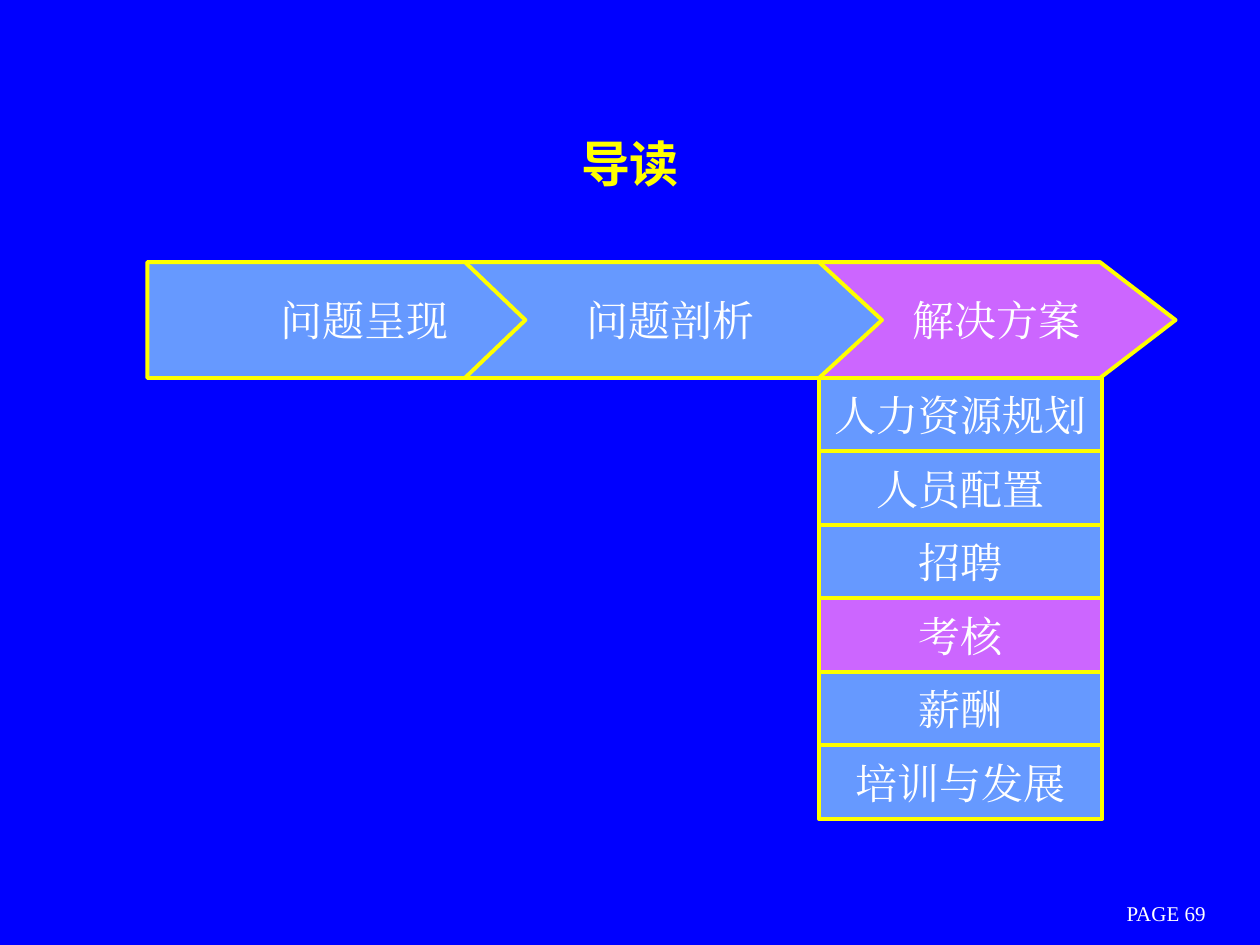
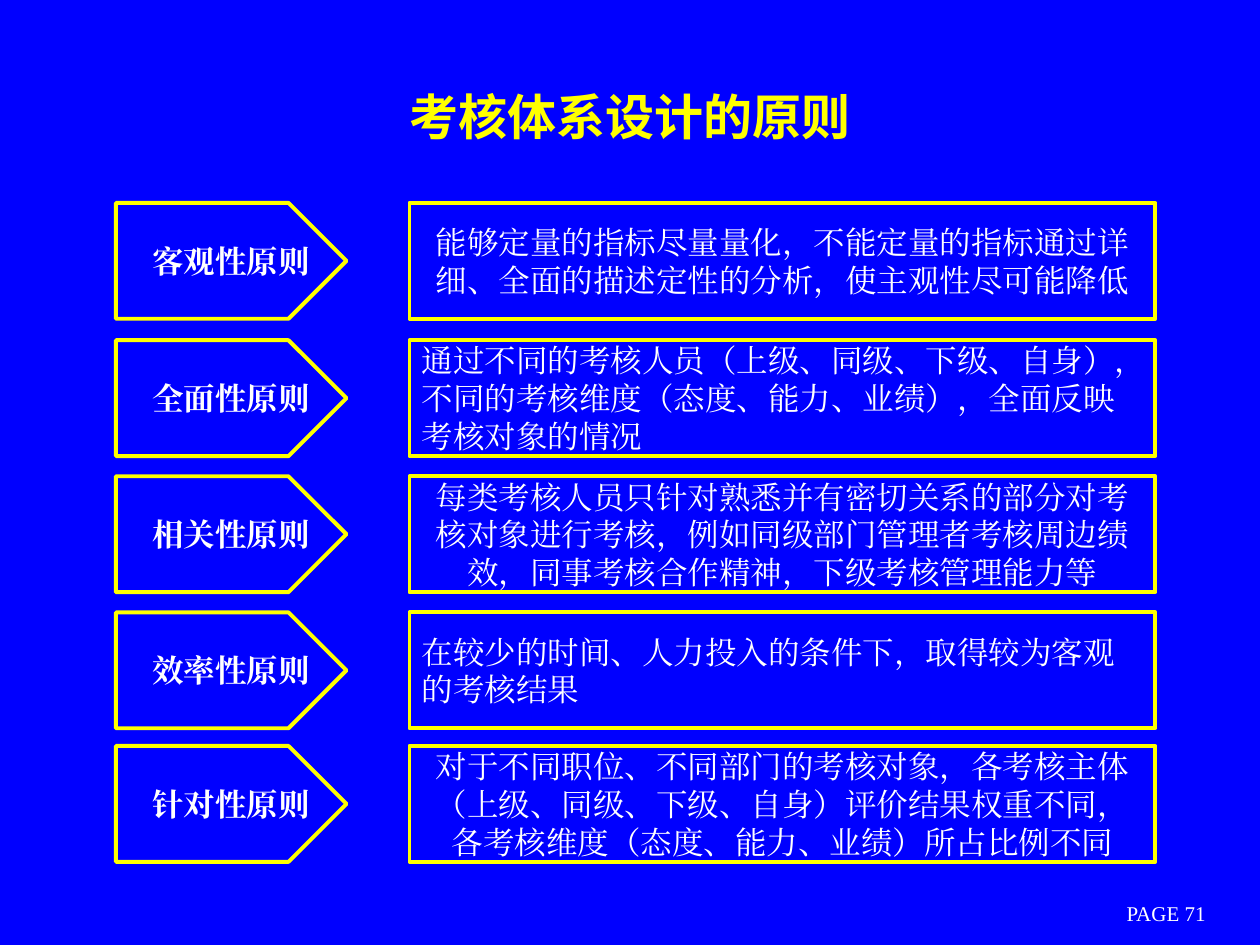
from lxml import etree
from pptx import Presentation
from pptx.dml.color import RGBColor
from pptx.enum.shapes import MSO_SHAPE
from pptx.enum.text import MSO_ANCHOR, PP_ALIGN
from pptx.oxml.ns import qn
from pptx.util import Inches, Pt

CENTER, LEFT = PP_ALIGN.CENTER, PP_ALIGN.LEFT
MIDDLE = MSO_ANCHOR.MIDDLE
RECTANGLE = MSO_SHAPE.RECTANGLE

COLORS = {
    "background": "0000FF",
    "accent": "FFFF00",
    "text": "FFFFFF",
    "step": "6699FF",
    "current": "CC66FF",
}
LATIN_FONT, HEADING_FONT = "Times New Roman", "Noto Sans CJK SC"
TITLE_ONLY = 5


def rgb(name):
    return RGBColor.from_string(COLORS[name])


def write(shape, text, size, color="text", bold=False, align=CENTER,
          font=LATIN_FONT, wrap=True, indent=0):
    """Put one formatted paragraph in a shape; indent widens the left inset."""
    frame = shape.text_frame
    frame_format = {
        "word_wrap": wrap, "vertical_anchor": MIDDLE,
        "margin_left": Inches(0.1 + indent), "margin_right": Inches(0.1),
        "margin_top": Inches(0.05), "margin_bottom": Inches(0.05),
    }
    for key, value in frame_format.items():
        setattr(frame, key, value)
    paragraph = frame.paragraphs[0]
    paragraph.alignment = align
    run = paragraph.add_run()
    run.text = text
    for key, value in {"size": Pt(size), "bold": bold, "name": font}.items():
        setattr(run.font, key, value)
    run.font.color.rgb = rgb(color)
    east_asian = etree.SubElement(run.font._element, qn("a:ea"))
    east_asian.set("typeface", font)


def outline(shape, fill=None):
    """Yellow border, with a solid fill or none."""
    shape.shadow.inherit = False
    if fill:
        shape.fill.solid()
        shape.fill.fore_color.rgb = rgb(fill)
    else:
        shape.fill.background()
    shape.line.color.rgb = rgb("accent")
    shape.line.width = Pt(2.25)


def add_arrow(slide, box, tip, fill=None):
    """Block arrow pointing right; tip is the length of its point."""
    left, top, width, height = box
    right, bottom = left + width, top + height
    points = [(right - tip, top), (right, top + height / 2),
              (right - tip, bottom), (left, bottom)]
    builder = slide.shapes.build_freeform(Inches(left), Inches(top))
    builder.add_line_segments([(Inches(x), Inches(y)) for x, y in points])
    arrow = builder.convert_to_shape()
    outline(arrow, fill)
    return arrow


def add_box(slide, box, fill=None):
    rectangle = slide.shapes.add_shape(RECTANGLE, *map(Inches, box))
    outline(rectangle, fill)
    return rectangle


def add_page(prs, title, title_box, page_number):
    """New slide with its heading and page label."""
    slide = prs.slides.add_slide(prs.slide_layouts[TITLE_ONLY])
    heading = slide.shapes.title
    edges = zip(("left", "top", "width", "height"), title_box)
    for edge, length in edges:
        setattr(heading, edge, Inches(length))
    write(heading, title, 28, "accent", bold=True, font=HEADING_FONT)

    page_label = slide.shapes.add_textbox(
        Inches(8.42), Inches(7.12), Inches(1.67), Inches(0.25))
    write(page_label, f"PAGE {page_number}", 12, wrap=False)
    return slide


def add_stages(slide, top, height):
    """Overlapping stages, the last one at the back."""
    # name, left, width, tip, indent, fill
    stages = [
        ("解决方案", 5.75, 3.58, 0.6, 0.74, "current"),
        ("问题剖析", 3.42, 3.58, 0.5, 0.22, "step"),
        ("问题呈现", 1.17, 3, 0.48, 0.44, "step"),
    ]
    for name, left, width, tip, indent, fill in stages:
        arrow = add_arrow(slide, (left, top, width, height), tip, fill)
        write(arrow, name, 24, indent=indent)


def add_modules(slide, box, modules, current):
    """Stack of equal cells that fills the box."""
    left, top, width, height = box
    cell_height = height / len(modules)
    for i, module in enumerate(modules):
        fill = "current" if module == current else "step"
        cell = add_box(
            slide, (left, top + i * cell_height, width, cell_height), fill)
        write(cell, module, 24, wrap=False)


def add_principle(slide, top, name, description, align):
    """Arrow with the principle's name and a box that explains it."""
    height = 0.92
    arrow = add_arrow(slide, (0.92, top, 1.83, height), 0.46)
    write(arrow, name, 18, bold=True)
    explanation = add_box(slide, (3.25, top, 5.92, height))
    write(explanation, description, 18, align=align)


def build_guide(prs):
    slide = add_page(prs, "导读", (0.75, 0.67, 8.5, 1.25), 69)
    add_stages(slide, 2.08, 0.92)
    modules = ["人力资源规划", "人员配置", "招聘", "考核", "薪酬", "培训与发展"]
    add_modules(slide, (6.5, 3, 2.25, 3.5), modules, "考核")


def build_principles(prs):
    slide = add_page(prs, "考核体系设计的原则", (0.75, 0.42, 8.5, 1), 71)
    principles = [
        (1.61, "客观性原则",
         "能够定量的指标尽量量化，不能定量的指标通过详细、全面的描述定性的分析，"
         "使主观性尽可能降低", CENTER),
        (2.7, "全面性原则",
         "通过不同的考核人员（上级、同级、下级、自身），不同的考核维度"
         "（态度、能力、业绩），全面反映考核对象的情况", LEFT),
        (3.78, "相关性原则",
         "每类考核人员只针对熟悉并有密切关系的部分对考核对象进行考核，"
         "例如同级部门管理者考核周边绩效，同事考核合作精神，下级考核管理能力等", CENTER),
        (4.86, "效率性原则",
         "在较少的时间、人力投入的条件下，取得较为客观的考核结果", LEFT),
        (5.92, "针对性原则",
         "对于不同职位、不同部门的考核对象，各考核主体（上级、同级、下级、自身）"
         "评价结果权重不同，各考核维度（态度、能力、业绩）所占比例不同", CENTER),
    ]
    for principle in principles:
        add_principle(slide, *principle)


def main():
    prs = Presentation()
    prs.slide_width, prs.slide_height = Inches(10), Inches(7.5)
    backdrop = prs.slide_master.background.fill
    backdrop.solid()
    backdrop.fore_color.rgb = rgb("background")
    build_guide(prs)
    build_principles(prs)
    prs.save("out.pptx")


if __name__ == "__main__":
    main()
